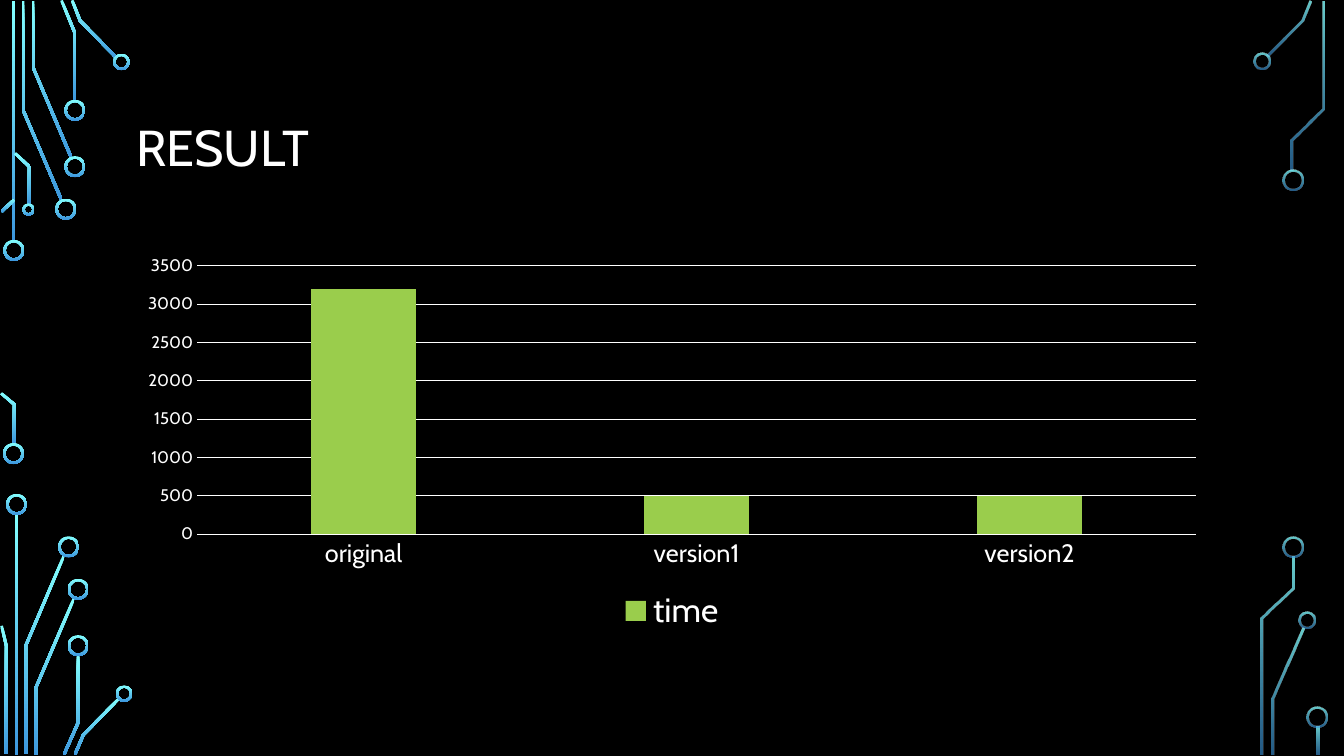
"""Build the result slide: a bar chart framed by circuit traces."""
import math
from dataclasses import dataclass

import lxml.etree
import pptx
import pptx.chart.data
import pptx.dml.color
import pptx.enum.chart
import pptx.enum.shapes
import pptx.enum.text
import pptx.oxml.ns
import pptx.util

Cm, Pt = pptx.util.Cm, pptx.util.Pt
FONT = "Cabin"
WHITE, BLACK, GREEN = "FFFFFF", "000000", "9ACD4C"
GLOW = ("82FFFF", "3D97DE")
FADED = (80, 60)
SOLID = (100, 100)
TRACE_WIDTH = 0.07
RING_WIDTH = 0.06


@dataclass(frozen=True)
class Trace:
    """Centre line of a circuit trace, in centimetres."""
    points: tuple[tuple[float, float], ...]
    alphas: tuple[int, int] = SOLID


@dataclass(frozen=True)
class Ring:
    """Round end of a trace: centre and diameter in centimetres."""
    x: float
    y: float
    size: float = 0.53
    alphas: tuple[int, int] = SOLID


TRACES = (
    Trace(((0.34, 0.03), (0.34, 6.1))),
    Trace(((0.58, 0.03), (0.58, 2.77), (1.55, 5.04))),
    Trace(((0.83, 0.03), (0.83, 1.69), (1.8, 3.98))),
    Trace(((1.55, 0.01), (1.89, 0.84), (1.89, 2.54))),
    Trace(((1.82, 0.01), (2.02, 0.52), (2.93, 1.45))),
    Trace(((0.04, 5.33), (0.36, 5.03))),
    Trace(((0.03, 9.91), (0.36, 10.19), (0.36, 11.2))),
    Trace(((0.38, 3.86), (0.74, 4.2), (0.74, 5.16))),
    Trace(((0.42, 12.95), (0.42, 19.02))),
    Trace(((0.65, 19), (0.65, 16.27), (1.61, 14.01))),
    Trace(((0.16, 19), (0.16, 16.28), (0.04, 15.77))),
    Trace(((0.9, 19.02), (0.9, 17.34), (1.87, 15.07))),
    Trace(((1.61, 19.02), (1.97, 18.21), (1.97, 16.51))),
    Trace(((1.89, 19.01), (2.1, 18.52), (3, 17.6))),
    Trace(((33.03, 0.02), (32.83, 0.51), (31.93, 1.41)), FADED),
    Trace(((32.07, 19.02), (32.07, 17.61), (32.84, 15.84)), FADED),
    Trace(((33.34, 0.03), (33.34, 2.73), (32.56, 3.52), (32.56, 4.29)), FADED),
    Trace(((31.81, 19.02), (31.81, 15.58), (32.6, 14.82), (32.6, 14.02)), FADED),
    Trace(((33.21, 18.31), (33.21, 19.02)), FADED),
)
RINGS = (
    Ring(0.35, 6.31), Ring(0.34, 11.43), Ring(1.66, 5.27), Ring(1.89, 4.2),
    Ring(1.89, 2.78), Ring(3.06, 1.56, 0.42), Ring(0.72, 5.28, 0.31),
    Ring(0.42, 12.71), Ring(1.73, 13.78), Ring(1.97, 14.85),
    Ring(1.97, 16.27), Ring(3.13, 17.48, 0.42),
    Ring(31.8, 1.54, 0.42, FADED), Ring(32.58, 4.53, alphas=FADED),
    Ring(32.93, 15.63, 0.42, FADED), Ring(32.59, 13.78, alphas=FADED),
    Ring(33.19, 18.08, alphas=FADED),
)


def rgb(color: str) -> pptx.dml.color.RGBColor:
    """Turn a hex string into a colour."""
    return pptx.dml.color.RGBColor.from_string(color)


def glow(sp, alphas: tuple[int, int]) -> None:
    """Fill a shape with the circuit gradient, top to bottom."""
    sp.shadow.inherit = False
    sp.line.fill.background()
    sp.fill.gradient()
    sp.fill.gradient_angle = 270
    for stop, color, alpha in zip(sp.fill.gradient_stops, GLOW, alphas):
        stop.color.rgb = rgb(color)
    qn = pptx.oxml.ns.qn
    for node, alpha in zip(sp._element.spPr.iter(qn("a:srgbClr")), alphas):
        if alpha < 100:
            lxml.etree.SubElement(node, qn("a:alpha"), val=str(alpha * 1000))


def outline(points, width: float) -> list[tuple[int, int]]:
    """Widen a centre line into a closed outline with mitred bends."""
    normals = []
    for (x1, y1), (x2, y2) in zip(points, points[1:]):
        length = math.hypot(x2 - x1, y2 - y1)
        normals.append(((y1 - y2) / length, (x2 - x1) / length))
    left, right = [], []
    for (x, y), (ax, ay), (bx, by) in zip(
            points, normals[:1] + normals, normals + normals[-1:]):
        k = width / 2 / (1 + ax * bx + ay * by)
        dx, dy = (ax + bx) * k, (ay + by) * k
        left.append((Cm(x + dx), Cm(y + dy)))
        right.append((Cm(x - dx), Cm(y - dy)))
    return left + right[::-1]


def draw_trace(s, trace: Trace) -> None:
    """Draw one circuit trace."""
    start, *rest = outline(trace.points, TRACE_WIDTH)
    builder = s.shapes.build_freeform(*start)
    builder.add_line_segments(rest, close=True)
    glow(builder.convert_to_shape(), trace.alphas)


def draw_ring(s, ring: Ring) -> None:
    """Draw one round trace end."""
    sp = s.shapes.add_shape(
        pptx.enum.shapes.MSO_SHAPE.DONUT, Cm(ring.x - ring.size / 2),
        Cm(ring.y - ring.size / 2), Cm(ring.size), Cm(ring.size))
    sp.adjustments[0] = RING_WIDTH / ring.size
    glow(sp, ring.alphas)


def set_font(font, size: float, color: str = WHITE) -> None:
    """Set face, size and colour of a font."""
    font.name, font.size = FONT, Pt(size)
    font.color.rgb = rgb(color)


def add_text(s, text: str, *, left: float, top: float, width: float,
             height: float, size: float, spacing: float = 1) -> None:
    """Add a vertically centred text box."""
    tf = s.shapes.add_textbox(Cm(left), Cm(top), Cm(width), Cm(height)).text_frame
    tf.word_wrap = True
    tf.vertical_anchor = pptx.enum.text.MSO_ANCHOR.MIDDLE
    p = tf.paragraphs[0]
    p.line_spacing = spacing
    r = p.add_run()
    r.text = text
    set_font(r.font, size)


def add_time_chart(s) -> None:
    """Add the column chart of running times."""
    data = pptx.chart.data.CategoryChartData()
    data.categories = ["original", "version1", "version2"]
    data.add_series("time", (3200, 500, 500))
    enums = pptx.enum.chart
    chart = s.shapes.add_chart(
        enums.XL_CHART_TYPE.COLUMN_CLUSTERED,
        Cm(3.18), Cm(6.25), Cm(27.51), Cm(9.83), data).chart
    set_font(chart.font, 10)
    chart.has_title = False
    chart.has_legend = True
    chart.legend.position = enums.XL_LEGEND_POSITION.BOTTOM
    chart.legend.include_in_layout = False
    set_font(chart.legend.font, 24)
    plot = chart.plots[0]
    plot.gap_width, plot.overlap = 219, -27
    plot.vary_by_categories = False
    fill = plot.series[0].format.fill
    fill.solid()
    fill.fore_color.rgb = rgb(GREEN)
    cats, vals = chart.category_axis, chart.value_axis
    for axis, size in ((cats, 18), (vals, 12)):
        axis.major_tick_mark = axis.minor_tick_mark = enums.XL_TICK_MARK.NONE
        set_font(axis.tick_labels.font, size)
    vals.minimum_scale, vals.maximum_scale, vals.major_unit = 0, 3500, 500
    vals.has_major_gridlines = True
    vals.format.line.fill.background()
    for line in (cats.format.line, vals.major_gridlines.format.line):
        line.width = Pt(0.75)
        line.color.rgb = rgb(WHITE)


prs = pptx.Presentation()
prs.slide_width, prs.slide_height = Cm(33.87), Cm(19.05)
s = prs.slides.add_slide(prs.slide_layouts[6])
s.background.fill.solid()
s.background.fill.fore_color.rgb = rgb(BLACK)
for trace in TRACES:
    draw_trace(s, trace)
for ring in RINGS:
    draw_ring(s, ring)
add_text(s, "RESULT", left=3.18, top=1.73, width=27.51, height=4.11,
         size=36, spacing=0.9)
add_time_chart(s)
prs.save("out.pptx")
